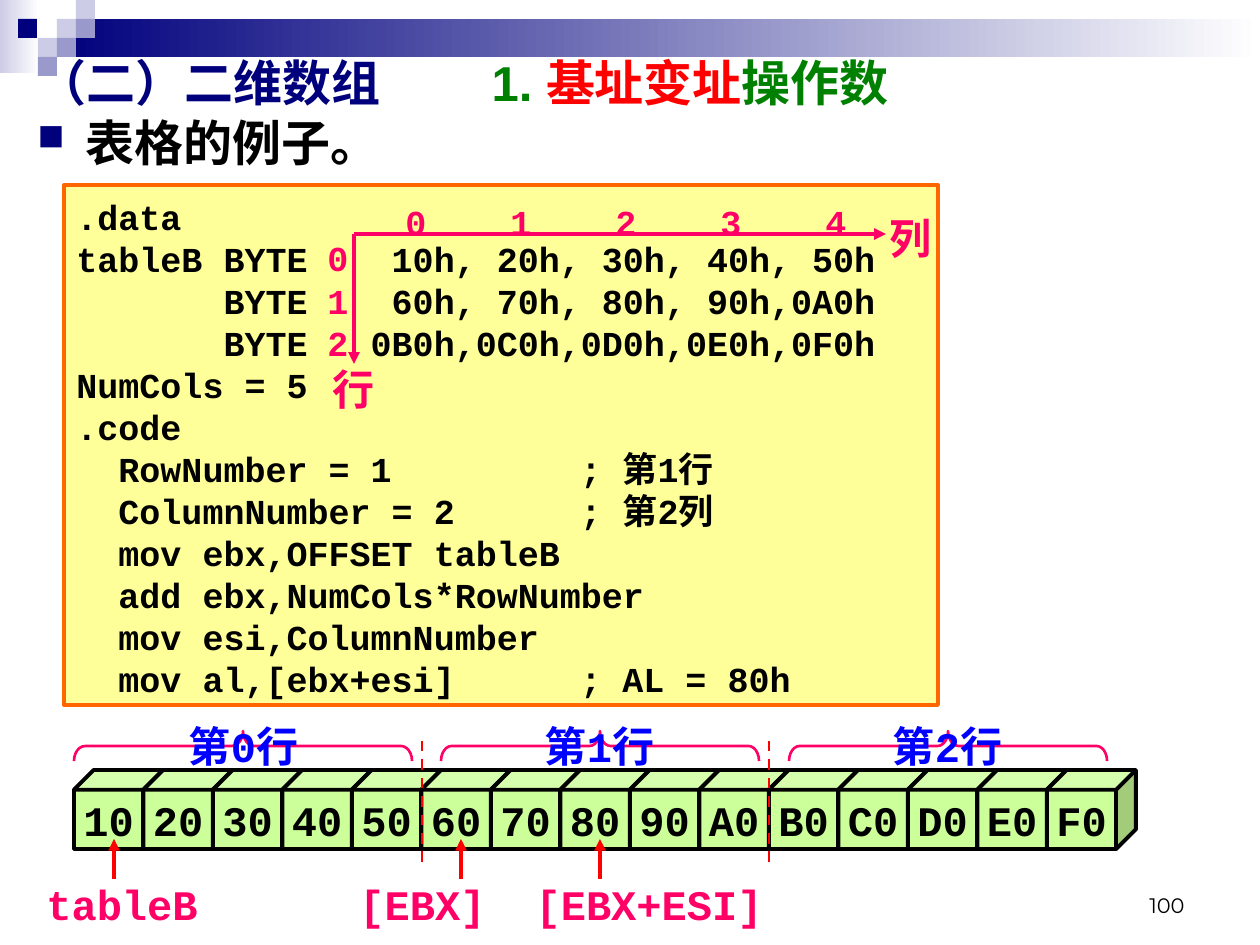
from lxml.etree import SubElement
from pptx import Presentation
from pptx.dml.color import RGBColor
from pptx.enum.dml import MSO_LINE
from pptx.enum.shapes import MSO_CONNECTOR, MSO_SHAPE
from pptx.enum.text import MSO_ANCHOR, PP_ALIGN
from pptx.oxml.ns import qn
from pptx.util import Pt

hue = RGBColor.from_string
PINK, RED, BLUE, NAVY, GREEN, BLACK = (
    "FF0066", "FF0000", "0000FF", "00007D", "008000", "000000")
LEFT, MID, RIGHT = PP_ALIGN.LEFT, PP_ALIGN.CENTER, PP_ALIGN.RIGHT
TOP, CORE, BASE = MSO_ANCHOR.TOP, MSO_ANCHOR.MIDDLE, MSO_ANCHOR.BOTTOM


def px(*nums):
    return [round(num * 914400 / 126) for num in nums]


def write(shape, rows, size, align=LEFT, name="Courier New", bold=True,
          pitch=None, tab=None, **look):
    frame = shape.text_frame
    form = {"word_wrap": True, "vertical_anchor": TOP}
    form.update(look)
    for key, val in form.items():
        setattr(frame, key, val)
    for num, row in enumerate(rows):
        para = frame.add_paragraph() if num else frame.paragraphs[0]
        if tab:
            tabs = SubElement(para._p.get_or_add_pPr(), qn("a:tabLst"))
            for step in range(1, 5):
                SubElement(tabs, qn("a:tab"), pos=str(px(tab * step)[0]), algn="l")
        para.alignment = align
        para.line_spacing = Pt(pitch) if pitch else 1.0
        para.space_before = Pt(0)
        for text, tint in row:
            run = para.add_run()
            run.text = text
            for key, val in {"name": name, "size": Pt(size), "bold": bold}.items():
                setattr(run.font, key, val)
            run.font.color.rgb = hue(tint)


deck = Presentation()
deck.slide_width, deck.slide_height = px(1260, 945)
slide = deck.slides.add_slide(deck.slide_layouts[5])
shapes = slide.shapes

for box, tints in [
    ((0, 0, 39, 73), ("CCCCE6", "FFFFFF")),
    ((57, 19, 1203, 38), (NAVY, "FFFFFF")),
    ((57, 19, 19, 19), ("CCCCE6",)),
    ((76, 0, 19, 19), ("CCCCE6",)),
    ((76, 19, 19, 19), ("9999CC",)),
    ((38, 38, 19, 19), ("CCCCE6",)),
    ((18, 19, 19, 19), (NAVY,)),
    ((57, 38, 19, 19), ("9999CC",)),
    ((38, 57, 19, 19), ("9999CC",)),
]:
    tile = shapes.add_shape(MSO_SHAPE.RECTANGLE, *px(*box))
    tile.shadow.inherit = False
    tile.line.fill.background()
    if len(tints) == 2:
        tile.fill.gradient()
        tile.fill.gradient_angle = 0
        for stop, tint in zip(tile.fill.gradient_stops, tints):
            stop.color.rgb = hue(tint)
    else:
        tile.fill.solid()
        tile.fill.fore_color.rgb = hue(tints[0])

page = shapes.add_textbox(*px(903, 861, 294, 63))
write(page, [[("100", BLACK)]], 12, RIGHT, "Montserrat", False, vertical_anchor=BASE)

body = shapes.add_textbox(*px(25, 106, 1216, 79))
props = body.text_frame.paragraphs[0]._p.get_or_add_pPr()
dent = px(48)[0]
props.set("marL", str(dent))
props.set("indent", str(-dent))
SubElement(SubElement(props, qn("a:buClr")), qn("a:srgbClr"), val=NAVY)
SubElement(props, qn("a:buSzPct"), val="75000")
SubElement(props, qn("a:buChar"), char="■")
write(body, [[("表格的例子。", BLACK)]], 28, vertical_anchor=CORE,
      margin_bottom=px(14)[0])

title = shapes.title
title.left, title.top, title.width, title.height = px(25, 45, 1211, 79)
shapes.element.append(title.element)
write(title, [[("（二）二维数组\t", NAVY), ("1. ", GREEN),
               ("基址变址", RED), ("操作数", GREEN)]],
      28, name="Arial", tab=454, vertical_anchor=CORE, margin_bottom=px(12)[0])

code = """.data
tableB BYTE    10h, 20h, 30h, 40h, 50h
       BYTE    60h, 70h, 80h, 90h,0A0h
       BYTE   0B0h,0C0h,0D0h,0E0h,0F0h
NumCols = 5
.code
  RowNumber = 1\t\t\t; 第1行
  ColumnNumber = 2\t\t; 第2列
  mov ebx,OFFSET tableB
  add ebx,NumCols*RowNumber
  mov esi,ColumnNumber
  mov al,[ebx+esi]\t\t; AL = 80h"""
panel = shapes.add_shape(MSO_SHAPE.RECTANGLE, *px(64, 185, 874, 520))
panel.shadow.inherit = False
panel.fill.solid()
panel.fill.fore_color.rgb = hue("FFFF99")
panel.line.color.rgb = hue("FF6600")
panel.line.width = Pt(2.25)
write(panel, [[(line, BLACK)] for line in code.split("\n")], 20, pitch=24,
      margin_top=px(10)[0])

for num, text in enumerate("10 20 30 40 50 60 70 80 90 A0 B0 C0 D0 E0 F0".split()):
    cube = shapes.add_shape(MSO_SHAPE.CUBE, *px(74 + num * 69.5, 770, 89, 79))
    cube.shadow.inherit = False
    cube.adjustments[0] = 0.25
    cube.fill.solid()
    cube.fill.fore_color.rgb = hue("CCFF99")
    cube.line.color.rgb = hue(BLACK)
    cube.line.width = Pt(2.25)
    write(cube, [[(text, BLACK)]], 24, MID, word_wrap=False, vertical_anchor=CORE)

for mid, span, bend in [(243, 338, 0.37), (600, 318, 0.35), (948, 318, 0.35)]:
    brace = shapes.add_shape(MSO_SHAPE.LEFT_BRACE, *px(mid - 15, 746 - span / 2, 30, span))
    brace.shadow.inherit = False
    brace.rotation = 90
    brace.adjustments[0] = bend
    brace.fill.background()
    brace.line.color.rgb = hue(PINK)
    brace.line.width = Pt(1.5)

for ends, tint, dash in [
    ((354, 234, 886, 234), PINK, False),
    ((354, 234, 354, 364), PINK, False),
    ((114, 879, 114, 839), RED, False),
    ((461, 879, 461, 839), RED, False),
    ((600, 879, 600, 839), RED, False),
    ((422, 741, 422, 869), RED, True),
    ((769, 741, 769, 869), RED, True),
]:
    line = shapes.add_connector(MSO_CONNECTOR.STRAIGHT, *px(*ends))
    line.line.color.rgb = hue(tint)
    line.line.width = Pt(1.5 if dash else 2.25)
    if dash:
        line.line.dash_style = MSO_LINE.DASH
    else:
        SubElement(line.line._get_or_add_ln(), qn("a:tailEnd"), type="triangle")
    SubElement(line._element.spPr, qn("a:effectLst"))

for box, rows, size, tint, align in [
    ((876, 203, 69, 63), ["列"], 24, PINK, MID),
    ((314, 354, 79, 63), ["行"], 24, PINK, MID),
    ((393, 190, 507, 54), ["0\t1\t2\t3\t4"], 20, PINK, LEFT),
    ((315, 227, 39, 139), ["0", "1", "2"], 20, PINK, LEFT),
    ((343, 869, 159, 63), ["[EBX]"], 24, PINK, MID),
    ((520, 869, 258, 63), ["[EBX+ESI]"], 24, PINK, MID),
    ((164, 711, 159, 63), ["第0行"], 24, BLUE, MID),
    ((520, 711, 159, 63), ["第1行"], 24, BLUE, MID),
    ((868, 711, 159, 63), ["第2行"], 24, BLUE, MID),
    ((34, 869, 189, 63), ["tableB"], 24, PINK, LEFT),
]:
    label = shapes.add_textbox(*px(*box))
    write(label, [[(row, tint)] for row in rows], size, align, pitch=size * 1.2,
          tab=105 if "\t" in rows[0] else None, margin_top=px(10)[0])

deck.save("out.pptx")
